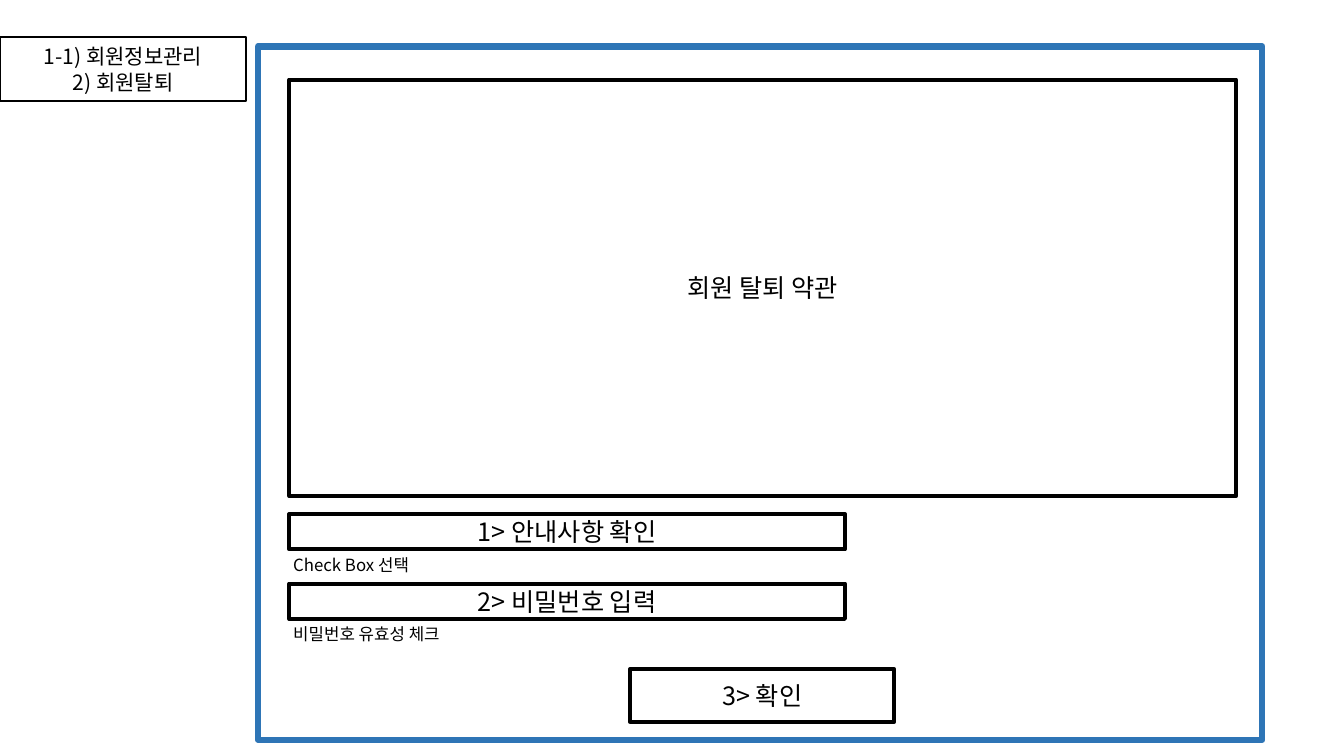
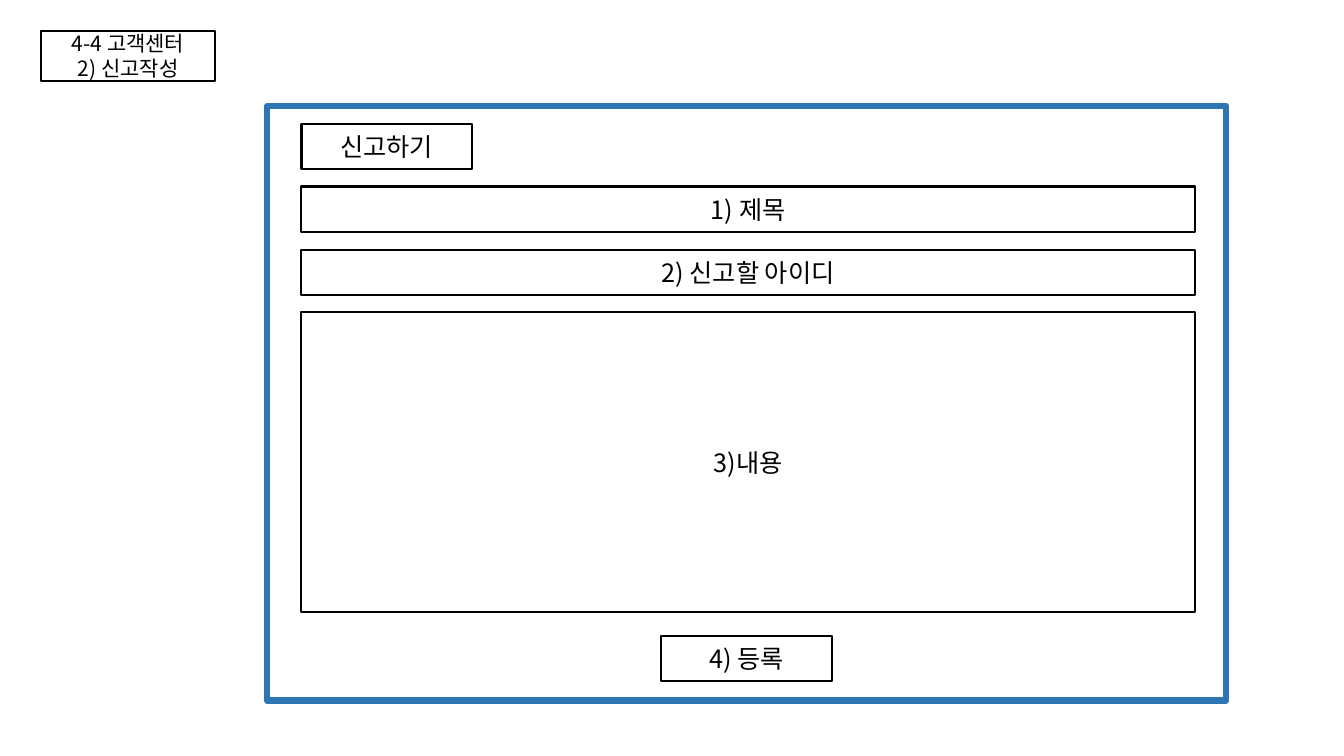
from dataclasses import dataclass

from lxml import etree
from pptx import Presentation
from pptx.dml.color import RGBColor
from pptx.enum.shapes import MSO_SHAPE
from pptx.enum.text import MSO_ANCHOR, MSO_AUTO_SIZE, PP_ALIGN
from pptx.oxml.ns import qn
from pptx.util import Emu, Pt

RECTANGLE = MSO_SHAPE.RECTANGLE
MIDDLE, TOP = MSO_ANCHOR.MIDDLE, MSO_ANCHOR.TOP
CENTER, LEFT = PP_ALIGN.CENTER, PP_ALIGN.LEFT
NO_AUTOFIT = MSO_AUTO_SIZE.NONE

EMU_PER_PX = 9144  # 100 px to the inch
SLIDE_WIDTH, SLIDE_HEIGHT = 1333, 750
TITLE_ONLY_LAYOUT = 5


@dataclass(frozen=True)
class Theme:
    font: str = "Noto Sans CJK KR"
    paper: RGBColor = RGBColor(0xFF, 0xFF, 0xFF)
    ink: RGBColor = RGBColor(0x00, 0x00, 0x00)
    accent: RGBColor = RGBColor(0x2E, 0x75, 0xB6)
    title_size: float = 15
    field_size: float = 18
    note_size: float = 12
    thin: float = 1.5
    thick: float = 3
    frame: float = 4.5


THEME = Theme()


@dataclass(frozen=True)
class Box:
    left: int
    top: int
    width: int
    height: int


@dataclass(frozen=True)
class Field:
    label: str
    box: Box


@dataclass(frozen=True)
class Screen:
    title: Field
    frame: Box
    fields: list[Field]
    field_line: float
    notes: list[Field]


def px(length: int) -> Emu:
    return Emu(length * EMU_PER_PX)


def corners(box: Box) -> tuple[Emu, Emu, Emu, Emu]:
    return px(box.left), px(box.top), px(box.width), px(box.height)


def write(shape, text: str, size: float, align=CENTER, anchor=MIDDLE) -> None:
    frame = shape.text_frame
    frame.text = text
    frame.word_wrap = True
    frame.auto_size = NO_AUTOFIT
    frame.vertical_anchor = anchor
    frame.margin_left = frame.margin_right = px(10)
    frame.margin_top = frame.margin_bottom = px(5)
    for paragraph in frame.paragraphs:
        paragraph.alignment = align
        for run in paragraph.runs:
            run.font.size = Pt(size)
            run.font.name = THEME.font
            run.font.color.rgb = THEME.ink
            east_asian = etree.SubElement(run.font._element, qn("a:ea"))
            east_asian.set("typeface", THEME.font)


def outline(shape, color: RGBColor, width: float) -> None:
    shape.fill.solid()
    shape.fill.fore_color.rgb = THEME.paper
    shape.line.color.rgb = color
    shape.line.width = Pt(width)


def add_box(slide, box: Box, color: RGBColor, width: float):
    shape = slide.shapes.add_shape(RECTANGLE, *corners(box))
    shape.shadow.inherit = False
    outline(shape, color, width)
    return shape


def add_title(slide, title: Field) -> None:
    heading = slide.shapes.title
    heading.left, heading.top, heading.width, heading.height = corners(title.box)
    outline(heading, THEME.ink, THEME.thin)
    write(heading, title.label, THEME.title_size)


def add_screen(deck, screen: Screen) -> None:
    slide = deck.slides.add_slide(deck.slide_layouts[TITLE_ONLY_LAYOUT])
    add_title(slide, screen.title)
    add_box(slide, screen.frame, THEME.accent, THEME.frame)
    for field in screen.fields:
        shape = add_box(slide, field.box, THEME.ink, screen.field_line)
        write(shape, field.label, THEME.field_size)
    for note in screen.notes:
        caption = slide.shapes.add_textbox(*corners(note.box))
        write(caption, note.label, THEME.note_size, LEFT, TOP)


def withdrawal_screen() -> Screen:
    left, row_height = 287, 35
    row_tops = [510, 579]
    rows = ["1> 안내사항 확인", "2> 비밀번호 입력"]
    checks = ["Check Box 선택", "비밀번호 유효성 체크"]
    return Screen(
        title=Field("1-1) 회원정보관리\n2) 회원탈퇴", Box(0, 37, 244, 63)),
        frame=Box(256, 46, 996, 688),
        fields=[
            Field("회원 탈퇴 약관", Box(left, 79, 939, 413)),
            *(Field(label, Box(left, top, 551, row_height))
              for label, top in zip(rows, row_tops)),
            Field("3> 확인", Box(625, 664, 262, 52)),
        ],
        field_line=THEME.thick,
        notes=[Field(label, Box(left - 6, top + row_height, 185, 30))
               for label, top in zip(checks, row_tops)],
    )


def report_screen() -> Screen:
    left, row_width, row_height = 299, 886, 45
    button_width = 169
    heading_top, title_top, account_top, content_top = (
        123 + row * 125 // 2 for row in range(4))
    return Screen(
        title=Field("4-4 고객센터\n2) 신고작성", Box(41, 31, 172, 49)),
        frame=Box(265, 105, 951, 590),
        fields=[
            Field("신고하기", Box(left, heading_top, button_width, row_height)),
            Field("1) 제목", Box(left, title_top, row_width, row_height)),
            Field("2) 신고할 아이디", Box(left, account_top, row_width, row_height)),
            Field("3)내용", Box(left, content_top, row_width, 297)),
            Field("4) 등록", Box(656, 631, button_width, row_height)),
        ],
        field_line=THEME.thin,
        notes=[],
    )


def main() -> None:
    deck = Presentation()
    deck.slide_width, deck.slide_height = px(SLIDE_WIDTH), px(SLIDE_HEIGHT)
    for screen in (withdrawal_screen(), report_screen()):
        add_screen(deck, screen)
    deck.save("out.pptx")


if __name__ == "__main__":
    main()
